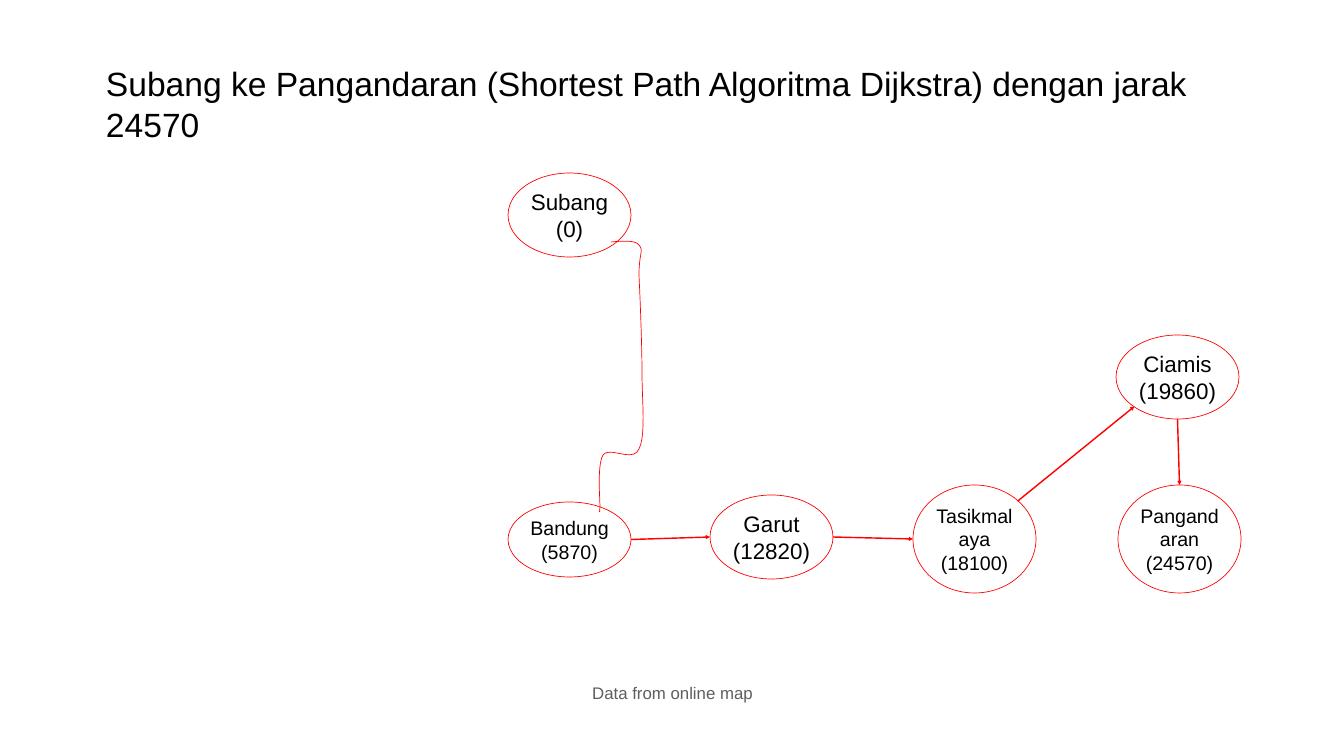
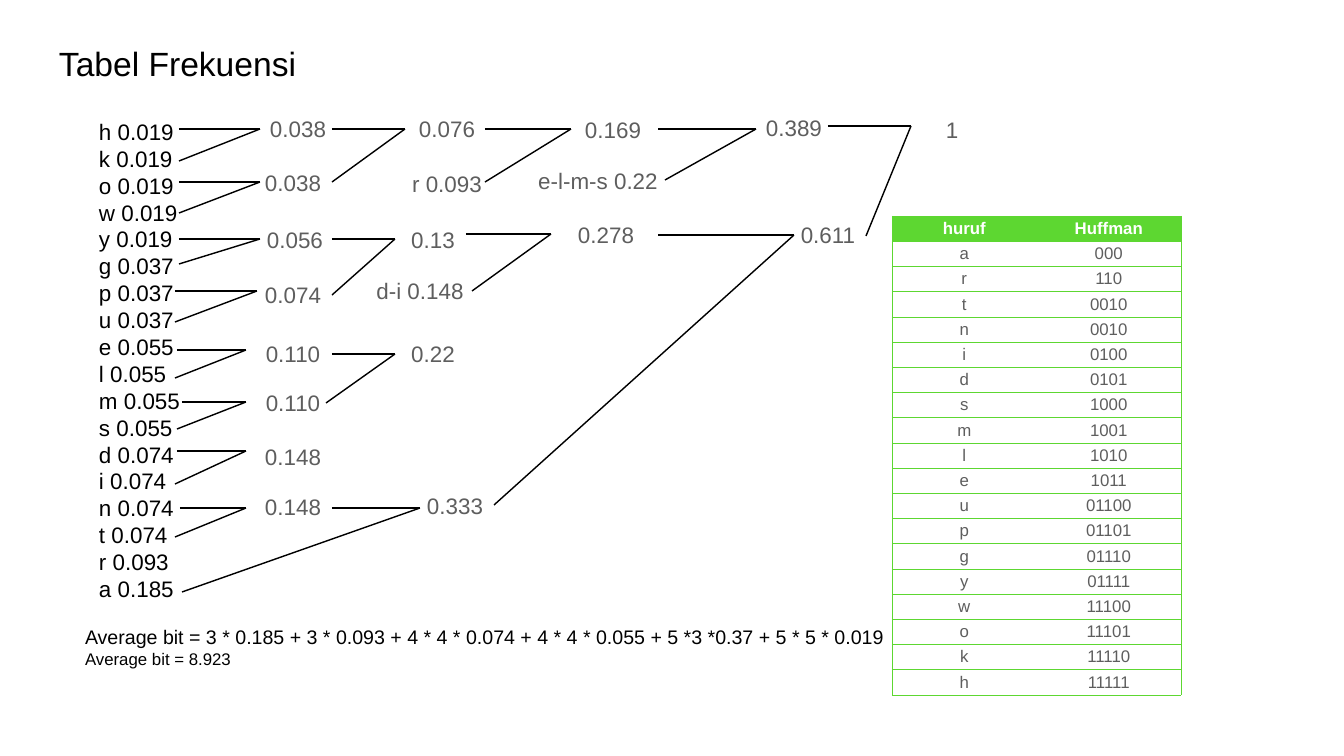
from lxml.etree import SubElement
from pptx import Presentation
from pptx.dml.color import RGBColor
from pptx.enum.shapes import MSO_CONNECTOR, MSO_SHAPE
from pptx.enum.text import MSO_ANCHOR, MSO_AUTO_SIZE, PP_ALIGN
from pptx.oxml import parse_xml
from pptx.oxml.ns import nsdecls, qn
from pptx.util import Pt

PIXEL = 914400 / 50.4
FONT = "Arial"
COLORS = {"ink": "000000", "gray": "5E5E5E", "red": "FF0000",
          "green": "5DD731", "white": "FFFFFF"}

# Slide 1: route
ROUTE_TITLE = "Subang ke Pangandaran (Shortest Path Algoritma Dijkstra) dengan jarak 24570"
ROUTE_NOTE = "Data from online map"
NODE_WIDTH = 123
CITIES = {  # name: (distance, left, top, height, text size)
    "Subang": (0, 508, 173, 84, 32),
    "Bandung": (5870, 508, 502, 75, 28),
    "Tasikmalaya": (18100, 913, 485, 108, 28),
    "Garut": (12820, 710, 495, 84, 32),
    "Pangandaran": (24570, 1118, 485, 108, 28),
    "Ciamis": (19860, 1116, 335, 84, 32),
}
SITES = {"right": (1, 0.5), "left": (0, 0.5), "top": (0.5, 0), "bottom": (0.5, 1),
         "upper right": (0.85, 0.15), "lower left": (0.15, 0.85)}
ROADS = [
    ("Bandung", "right", "Garut", "left"),
    ("Ciamis", "bottom", "Pangandaran", "top"),
    ("Tasikmalaya", "upper right", "Ciamis", "lower left"),
    ("Garut", "right", "Tasikmalaya", "left"),
]
# Winding road: a start, then two controls and an end per curve
ROAD_START = (611, 242)
ROAD_CURVES = [
    ((623, 241), (635, 240), (639, 245)),
    ((644, 251), (639, 253), (639, 275)),
    ((640, 296), (642, 343), (642, 372)),
    ((642, 401), (646, 435), (639, 449)),
    ((633, 463), (610, 446), (603, 455)),
    ((597, 465), (600, 499), (600, 507)),
    ((599, 516), (600, 511), (600, 505)),
]

# Slide 2: Huffman tree
TREE_TITLE = "Tabel Frekuensi"
FREQUENCIES = [("kowy", "0.019"), ("gpu", "0.037"), ("elms", "0.055"),
               ("dint", "0.074"), ("r", "0.093"), ("a", "0.185")]
FREQUENCIES[0] = ("hkowy", "0.019")
SUMS = [  # text, left, top
    ("0.038", 246, 112), ("0.038", 241, 166), ("0.056", 243, 223),
    ("0.074", 241, 278), ("0.110", 241, 337), ("0.110", 241, 386),
    ("0.148", 241, 440), ("0.148", 241, 490),
    ("0.076", 395, 112), ("r 0.093", 395, 167), ("0.13", 381, 223),
    ("d-i 0.148", 368, 274), ("0.22", 381, 337), ("0.333", 403, 489),
    ("0.169", 561, 113), ("e-l-m-s 0.22", 524, 164), ("0.278", 554, 218),
    ("0.389", 742, 111), ("0.611", 776, 218), ("1", 900, 113),
]
FORKS = [  # upper x, upper y, lower x, lower y, x where both meet
    (179, 129, 179, 161, 260), (179, 182, 179, 213, 260),
    (179, 239, 179, 264, 260), (175, 291, 175, 322, 257),
    (177, 350, 175, 378, 246), (182, 402, 177, 429, 246),
    (177, 451, 175, 484, 246), (180, 508, 175, 537, 246),
    (332, 129, 332, 182, 405), (332, 239, 332, 295, 395),
    (332, 354, 326, 403, 395), (332, 508, 182, 592, 420),
    (485, 129, 485, 182, 571), (466, 234, 472, 291, 551),
    (658, 129, 665, 180, 756), (658, 235, 494, 505, 794),
    (828, 126, 866, 236, 911),
]
CODES = [
    ("huruf", "Huffman"), ("a", "000"), ("r", "110"), ("t", "0010"), ("n", "0010"),
    ("i", "0100"), ("d", "0101"), ("s", "1000"), ("m", "1001"), ("l", "1010"),
    ("e", "1011"), ("u", "01100"), ("p", "01101"), ("g", "01110"), ("y", "01111"),
    ("w", "11100"), ("o", "11101"), ("k", "11110"), ("h", "11111"),
]
AVERAGE = [
    ("Average bit = 3 * 0.185 + 3 * 0.093 + 4 * 4 * 0.074 + 4 * 4 * 0.055"
     " + 5 *3 *0.37 + 5 * 5 * 0.019", 28),
    ("Average bit = 8.923", 24),
]


def emu(pixels):
    return round(pixels * PIXEL)


def color(name):
    return RGBColor.from_string(COLORS[name])


def place(shape, left, top, width, height):
    shape.left, shape.top = emu(left), emu(top)
    shape.width, shape.height = emu(width), emu(height)


def write(text_frame, lines, ink="ink", align=PP_ALIGN.LEFT, bold=False):
    """Fill a frame with one paragraph per (text, size) pair."""
    for index, (text, size) in enumerate(lines):
        paragraph = text_frame.paragraphs[0] if index == 0 else text_frame.add_paragraph()
        paragraph.alignment = align
        paragraph.space_before = paragraph.space_after = Pt(0)
        paragraph.line_spacing = 1.0
        run = paragraph.add_run()
        run.text = text
        run.font.name, run.font.size, run.font.bold = FONT, Pt(size), bold
        run.font.color.rgb = color(ink)


def set_frame(shape, anchor=MSO_ANCHOR.MIDDLE):
    frame = shape.text_frame
    frame.word_wrap = True
    frame.auto_size = MSO_AUTO_SIZE.NONE
    frame.vertical_anchor = anchor
    frame.margin_left = frame.margin_right = emu(3)
    frame.margin_top = frame.margin_bottom = emu(3)
    return frame


def add_text(slide, box, lines, **style):
    shape = slide.shapes.add_textbox(*map(emu, box))
    write(set_frame(shape), lines, **style)


def add_titled_slide(presentation, layout, title, box):
    slide = presentation.slides.add_slide(presentation.slide_layouts[layout])
    place(slide.shapes.title, *box)
    write(set_frame(slide.shapes.title), [(title, 48)])
    return slide


def add_line(slide, start, end, ink="ink", arrow=False):
    line = slide.shapes.add_connector(
        MSO_CONNECTOR.STRAIGHT, *map(emu, (*start, *end)))
    line.line.color.rgb = color(ink)
    line.line.width = Pt(2)
    if arrow:
        SubElement(line.line._get_or_add_ln(), qn("a:tailEnd"), type="triangle")
    SubElement(line._element.spPr, qn("a:effectLst"))


def outline(shape):
    shape.shadow.inherit = False
    shape.fill.background()
    shape.line.color.rgb = color("red")
    shape.line.width = Pt(1)


def site_point(city, site):
    _, left, top, height, _ = CITIES[city]
    across, down = SITES[site]
    return left + across * NODE_WIDTH, top + down * height


def curve_points(start, curves, steps=10):
    for first, second, end in curves:
        for step in range(1, steps + 1):
            t = step / steps
            weights = ((1 - t) ** 3, 3 * t * (1 - t) ** 2, 3 * t * t * (1 - t), t ** 3)
            yield tuple(emu(sum(w * p[axis] for w, p in
                                zip(weights, (start, first, second, end))))
                        for axis in (0, 1))
        start = end


def border_cell(cell, sides):
    """Draw the named sides in green and clear the others."""
    properties = cell._tc.get_or_add_tcPr()
    for index, side in enumerate("LRTB"):
        paint = (f'<a:solidFill><a:srgbClr val="{COLORS["green"]}"/></a:solidFill>'
                 if side in sides else "<a:noFill/>")
        properties.insert(index, parse_xml(
            f'<a:ln{side} {nsdecls("a")} w="9525">{paint}</a:ln{side}>'))


def build_route(presentation):
    slide = add_titled_slide(presentation, 5, ROUTE_TITLE, (103, 60, 1152, 87))
    add_text(slide, (544, 680, 257, 26), [(ROUTE_NOTE, 24)],
             ink="gray", align=PP_ALIGN.CENTER)
    # Cities
    for city, (distance, left, top, height, size) in CITIES.items():
        node = slide.shapes.add_shape(
            MSO_SHAPE.OVAL, *map(emu, (left, top, NODE_WIDTH, height)))
        outline(node)
        write(set_frame(node), [(f"{city} ({distance})", size)], align=PP_ALIGN.CENTER)
    # Roads
    builder = slide.shapes.build_freeform(*map(emu, ROAD_START), scale=1.0)
    builder.add_line_segments(curve_points(ROAD_START, ROAD_CURVES), close=False)
    outline(builder.convert_to_shape())
    for origin, exit_site, target, entry_site in ROADS:
        add_line(slide, site_point(origin, exit_site), site_point(target, entry_site),
                 ink="red", arrow=True)


def add_code_table(slide):
    table = slide.shapes.add_table(
        len(CODES), 2, *map(emu, (892, 216, 289, 479))).table
    table.first_row = table.horz_banding = False
    for column in table.columns:
        column.width = emu(289 / 2)
    for row_index, values in enumerate(CODES):
        table.rows[row_index].height = emu(479 / len(CODES))
        header = row_index == 0
        for column_index, value in enumerate(values):
            cell = table.cell(row_index, column_index)
            cell.vertical_anchor = MSO_ANCHOR.MIDDLE
            cell.margin_top = cell.margin_bottom = emu(2)
            write(cell.text_frame, [(value, 24)], ink="white" if header else "gray",
                  align=PP_ALIGN.CENTER, bold=header)
            if header:
                cell.fill.solid()
                cell.fill.fore_color.rgb = color("green")
            else:
                cell.fill.background()
            border_cell(cell, "LTB" if column_index == 0 else "RTB")


def build_tree(presentation):
    slide = add_titled_slide(presentation, 1, TREE_TITLE, (56, 40, 1152, 46))
    # Letters with their frequencies
    letters = slide.placeholders[1]
    place(letters, 96, 113, 717, 548)
    frame = set_frame(letters, MSO_ANCHOR.TOP)
    frame.margin_top = emu(5)
    write(frame, [(f"{letter} {value}", 32)
                  for group, value in FREQUENCIES for letter in group])
    for paragraph in frame.paragraphs:
        properties = paragraph._p.get_or_add_pPr()
        properties.set("marL", "0")
        properties.set("indent", "0")
        SubElement(properties, qn("a:buNone"))
    # Branches and sums
    for upper_x, upper_y, lower_x, lower_y, meet_x in FORKS:
        for start in ((upper_x, upper_y), (lower_x, lower_y)):
            add_line(slide, start, (meet_x, upper_y))
    for text, left, top in SUMS:
        width = 148 if len(text) > 10 else 104
        add_text(slide, (left, top, width, 33), [(text, 32)],
                 ink="gray", align=PP_ALIGN.CENTER)
    add_code_table(slide)
    add_text(slide, (82, 622, 1152, 50), AVERAGE)


presentation = Presentation()
presentation.slide_width, presentation.slide_height = emu(1344), emu(756)
build_route(presentation)
build_tree(presentation)
presentation.save("out.pptx")
